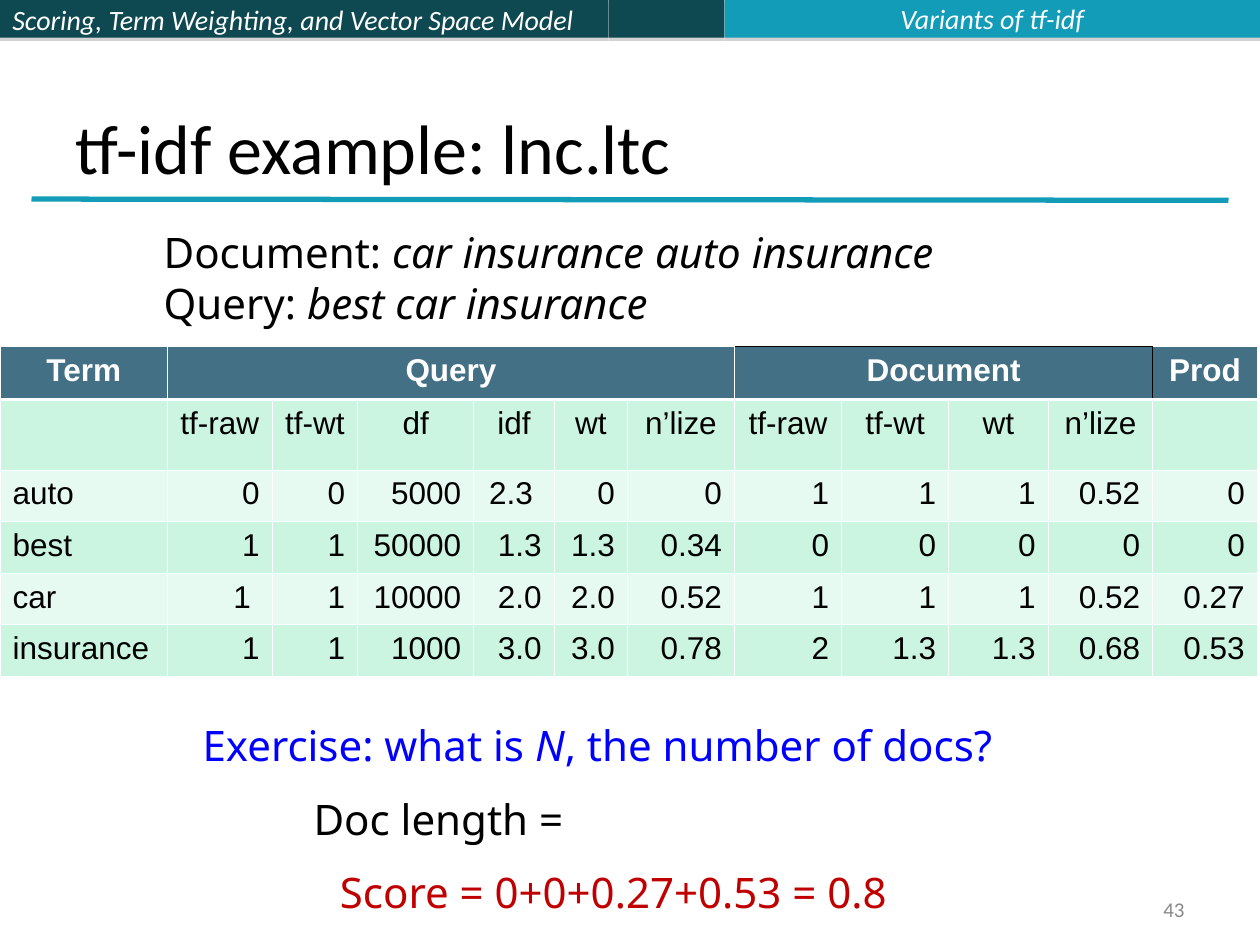
"""Build the tf-idf worked example slide with its weighting table."""
import pptx
import pptx.dml.color
import pptx.enum.shapes
import pptx.enum.text
import pptx.oxml
import pptx.util
from pptx.oxml.ns import nsdecls

Inches, Pt = pptx.util.Inches, pptx.util.Pt
RGBColor = pptx.dml.color.RGBColor
ALIGN, ANCHOR = pptx.enum.text.PP_ALIGN, pptx.enum.text.MSO_ANCHOR
AUTO_SIZE = pptx.enum.text.MSO_AUTO_SIZE

BLACK = RGBColor(0x00, 0x00, 0x00)
WHITE = RGBColor(0xFF, 0xFF, 0xFF)
OFF_WHITE = RGBColor(0xFB, 0xFC, 0xFF)
DARK_TEAL = RGBColor(0x0E, 0x48, 0x51)
TEAL = RGBColor(0x13, 0x9C, 0xB7)
SLATE = RGBColor(0x43, 0x70, 0x85)
MINT = RGBColor(0xCB, 0xF5, 0xE1)
PALE_MINT = RGBColor(0xE7, 0xFA, 0xF1)
BLUE = RGBColor(0x00, 0x00, 0xFF)
RED = RGBColor(0xC0, 0x00, 0x00)
GREY = RGBColor(0x89, 0x89, 0x89)

TITLE = "tf-idf example: lnc.ltc"
COURSE = "Scoring, Term Weighting, and Vector Space Model"
SECTION = "Variants of tf-idf"
PAGE = "43"

HEADER_BARS = [(0, 4.83, DARK_TEAL, COURSE), (4.83, 0.92, DARK_TEAL, ""), (5.75, 4.25, TEAL, "")]

GROUPS = [("Term", 1), ("Query", 6), ("Document", 4), ("Prod", 1)]
ROWS = [
    ["", "tf-raw", "tf-wt", "df", "idf", "wt", "n’lize", "tf-raw", "tf-wt", "wt", "n’lize", ""],
    ["auto", "0", "0", "5000", "2.3 ", "0", "0", "1", "1", "1", "0.52", "0"],
    ["best", "1", "1", "50000", "1.3", "1.3", "0.34", "0", "0", "0", "0", "0"],
    ["car", "1 ", "1", "10000", "2.0", "2.0", "0.52", "1", "1", "1", "0.52", "0.27"],
    ["insurance", "1", "1", "1000", "3.0", "3.0", "0.78", "2", "1.3", "1.3", "0.68", "0.53"],
]
COLUMN_WIDTHS = [1.33, 0.83, 0.68, 0.92, 0.64, 0.58, 0.85, 0.85, 0.85, 0.79, 0.83, 0.83]
ROW_HEIGHTS = [0.42, 0.56, 0.41, 0.41, 0.41, 0.41]

NOTES = [
    ((1.2, 1.75, 6.32, 0.9), BLACK, [
        [("Document: ", False), ("car insurance auto insurance", True)],
        [("Query: ", False), ("best car insurance", True)],
    ]),
    ((1.51, 5.66, 6.48, 0.5), BLUE, [
        [("Exercise: what is ", False), ("N", True), (", the number of docs?", False)],
    ]),
    ((2.6, 6.83, 4.54, 0.5), RED, [[("Score = 0+0+0.27+0.53 = 0.8", False)]]),
    ((2.39, 6.25, 2.18, 0.5), BLACK, [[("Doc length =", False)]]),
]


def style(paragraph, face, size, color, align=ALIGN.LEFT, bold=False, italic=None):
    font = paragraph.font
    font.name, font.size, font.bold, font.italic = face, Pt(size), bold, italic
    font.color.rgb = color
    paragraph.alignment = align


def add_text(slide, box, text, size, color, align, italic=None):
    frame = slide.shapes.add_textbox(*map(Inches, box)).text_frame
    frame.word_wrap = True
    frame.vertical_anchor = ANCHOR.MIDDLE
    frame.text = text
    style(frame.paragraphs[0], "Calibri", size, color, align, italic=italic)


def add_header_bar(slide, left, width, color, text):
    bar = slide.shapes.add_shape(pptx.enum.shapes.MSO_SHAPE.RECTANGLE,
                                 Inches(left), 0, Inches(width), Inches(0.3))
    bar.fill.solid()
    bar.fill.fore_color.rgb = color
    bar.line.fill.background()
    bar._element.spPr.append(pptx.oxml.parse_xml(
        f'<a:effectLst {nsdecls("a")}><a:outerShdw dist="22860" dir="5400000" rotWithShape="0">'
        '<a:srgbClr val="808080"><a:alpha val="35000"/></a:srgbClr></a:outerShdw></a:effectLst>'))
    if text:
        bar.text_frame.vertical_anchor = ANCHOR.MIDDLE
        bar.text_frame.text = text
        style(bar.text_frame.paragraphs[0], "Calibri", 16, WHITE, italic=True)


def add_rule(slide):
    rule = slide.shapes.add_connector(pptx.enum.shapes.MSO_CONNECTOR.STRAIGHT,
                                      *map(Inches, (0.25, 1.58, 9.75, 1.59)))
    rule.line.color.rgb = TEAL
    rule.line.width = Pt(3)
    rule._element.spPr.append(pptx.oxml.parse_xml(f'<a:effectLst {nsdecls("a")}/>'))


def set_borders(cell, black_sides, heavy_side):
    properties = cell._tc.get_or_add_tcPr()
    for position, side in enumerate("LRTB"):
        width = Pt(1.47 if side == heavy_side else 0.45)
        color = BLACK if side in black_sides else WHITE
        properties.insert(position, pptx.oxml.parse_xml(
            f'<a:ln{side} {nsdecls("a")} w="{width}"><a:solidFill>'
            f'<a:srgbClr val="{color}"/></a:solidFill></a:ln{side}>'))


def fill_cell(cell, text, fill, color, align, bold=False, black_sides="", heavy_side=""):
    cell.fill.solid()
    cell.fill.fore_color.rgb = fill
    cell.text = text
    style(cell.text_frame.paragraphs[0], "Arial", 18, color, align, bold)
    set_borders(cell, black_sides, heavy_side)


def add_weight_table(slide):
    table = slide.shapes.add_table(len(ROW_HEIGHTS), len(COLUMN_WIDTHS), 0, Inches(2.75),
                                   Inches(sum(COLUMN_WIDTHS)), Inches(sum(ROW_HEIGHTS))).table
    for column, width in zip(table.columns, COLUMN_WIDTHS):
        column.width = Inches(width)
    for row, height in zip(table.rows, ROW_HEIGHTS):
        row.height = Inches(height)

    start = 0
    black_sides = {"Document": "TR", "Prod": "L"}
    for name, span in GROUPS:
        for offset in range(span):
            fill_cell(table.cell(0, start + offset), "" if offset else name, SLATE, WHITE,
                      ALIGN.CENTER, True, black_sides.get(name, ""), "B")
        if span > 1:
            table.cell(0, start).merge(table.cell(0, start + span - 1))
        start += span

    for r, values in enumerate(ROWS, 1):
        for c, value in enumerate(values):
            align = ALIGN.CENTER if r == 1 else ALIGN.RIGHT if c else ALIGN.LEFT
            fill_cell(table.cell(r, c), value, MINT if r % 2 else PALE_MINT, BLACK, align,
                      heavy_side="T" if r == 1 else "")


def add_note(slide, box, color, lines):
    frame = slide.shapes.add_textbox(*map(Inches, box)).text_frame
    frame.word_wrap = False
    frame.auto_size = AUTO_SIZE.SHAPE_TO_FIT_TEXT
    for i, pieces in enumerate(lines):
        paragraph = frame.add_paragraph() if i else frame.paragraphs[0]
        style(paragraph, "Noto Sans", 24, color)
        for text, italic in pieces:
            run = paragraph.add_run()
            run.text, run.font.italic = text, italic


def main():
    deck = pptx.Presentation()
    deck.slide_width, deck.slide_height = Inches(10), Inches(7.5)
    slide = deck.slides.add_slide(deck.slide_layouts[5])

    title = slide.shapes.title
    title.left, title.top, title.width, title.height = map(Inches, (0.5, 0.3, 9, 1.25))
    title.text_frame.text = TITLE
    title.text_frame.vertical_anchor = ANCHOR.BOTTOM
    title.text_frame.auto_size = AUTO_SIZE.NONE
    style(title.text_frame.paragraphs[0], "Calibri", 40, BLACK)

    for bar in HEADER_BARS:
        add_header_bar(slide, *bar)
    add_rule(slide)
    add_weight_table(slide)
    for note in NOTES:
        add_note(slide, *note)
    add_text(slide, (5.75, -0.04, 4.25, 0.37), SECTION, 16, OFF_WHITE, ALIGN.CENTER, True)
    add_text(slide, (7.17, 7.08, 2.33, 0.27), PAGE, 12, GREY, ALIGN.RIGHT)
    deck.save("out.pptx")


if __name__ == "__main__":
    main()
